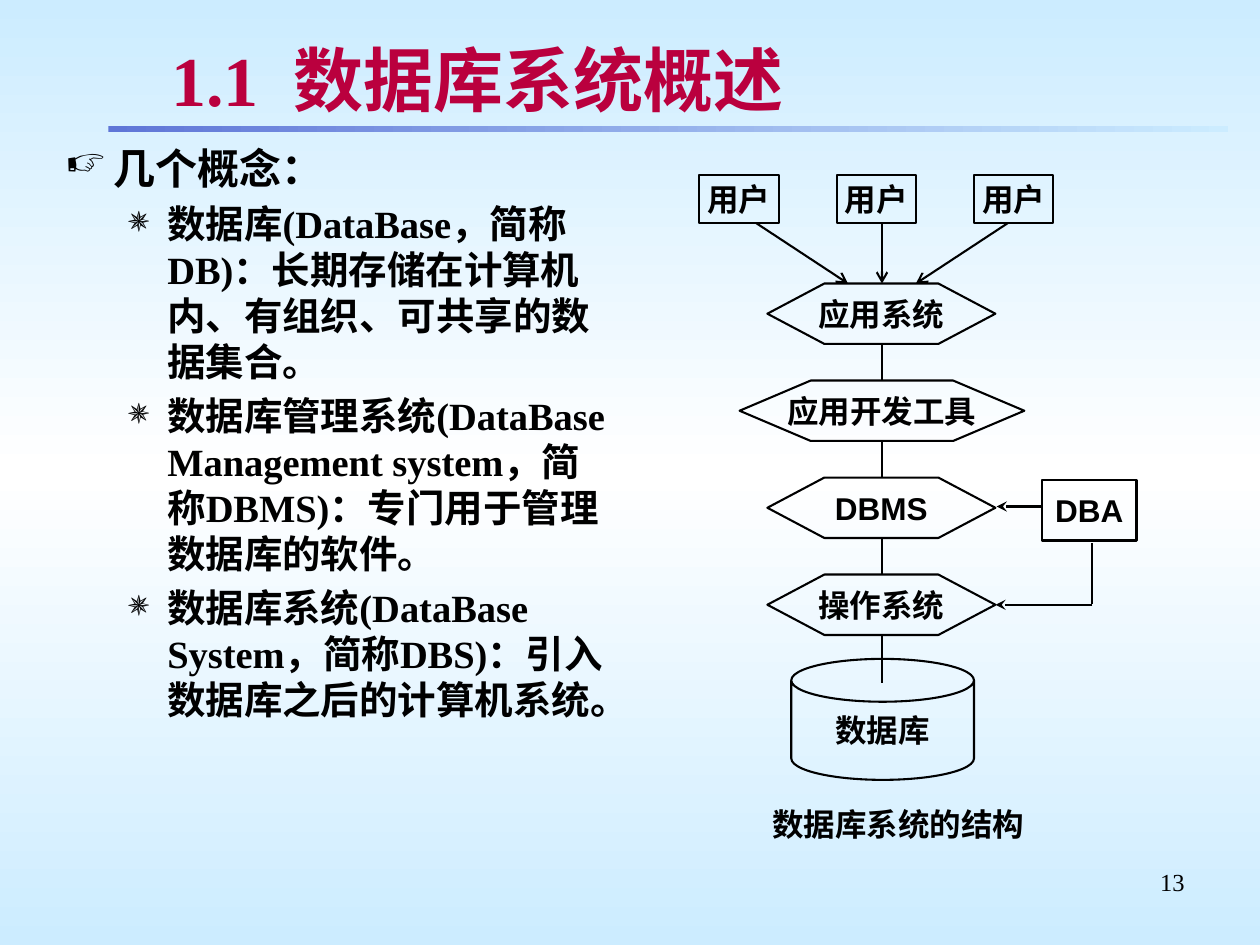
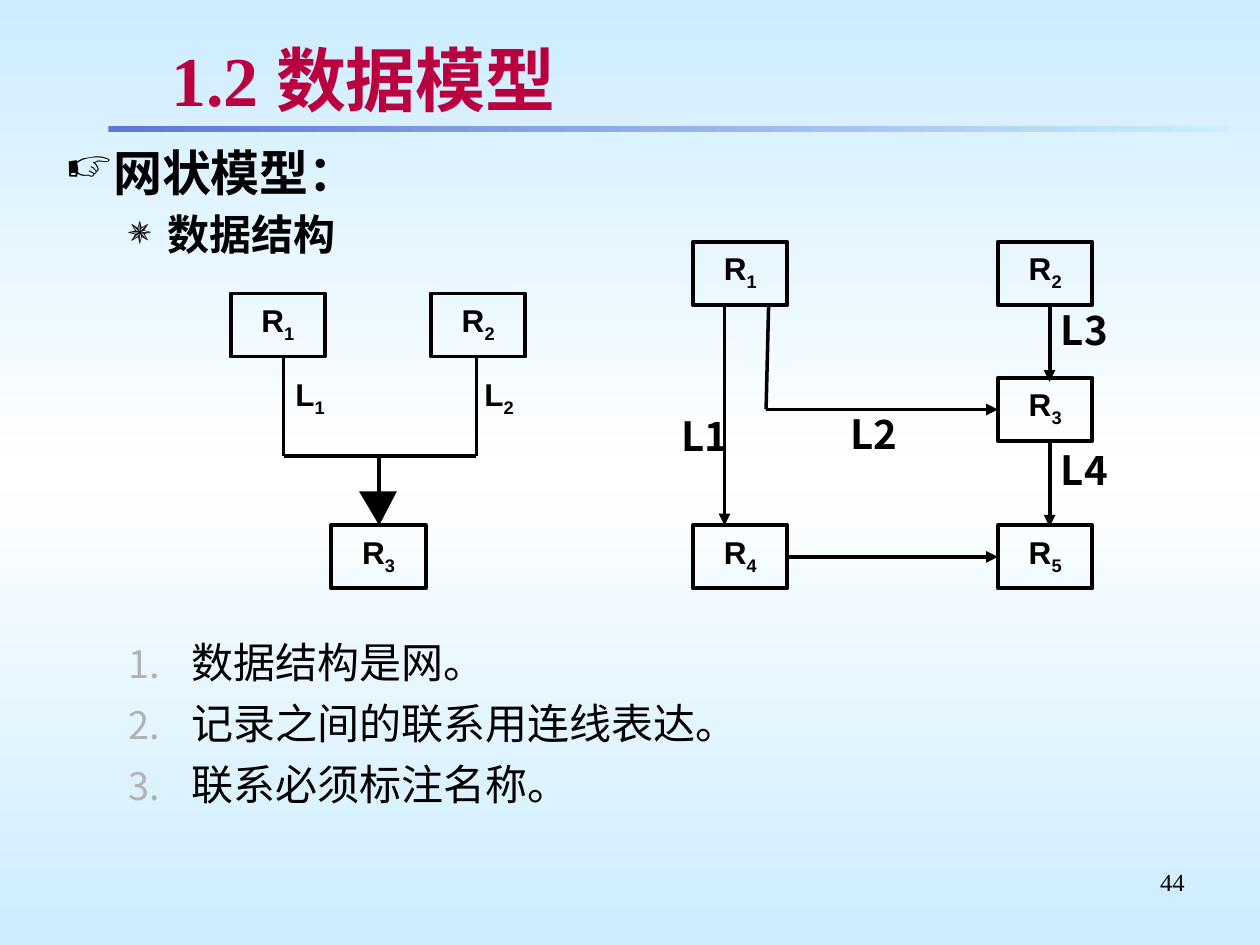
from copy import deepcopy
from dataclasses import dataclass
from typing import Any

from lxml import etree
from pptx import Presentation
from pptx.dml.color import RGBColor
from pptx.enum import shapes as sh, text as tx
from pptx.oxml import ns
from pptx.util import Inches, Pt

COLORS = {
    "ink": "000000",
    "title": "BA003E",
    "title_shadow": "C0C0C0",
    "sky": "CCECFF",
    "white": "FFFFFF",
    "band": "5F76D7",
    "number": "B2B2B2",
}
SERIF, SANS, CJK = "Times New Roman", "Arial", "Noto Sans CJK SC"
LEFT, CENTER, RIGHT = tx.PP_ALIGN.LEFT, tx.PP_ALIGN.CENTER, tx.PP_ALIGN.RIGHT
LINE_HEIGHT = 1.2
THIN, MEDIUM, THICK = 1.19, 2, 2.25


def rgb(name):
    return RGBColor.from_string(COLORS[name])


def add_child(parent, tag, **attributes):
    child = etree.SubElement(parent, ns.qn(tag))
    for key, value in attributes.items():
        child.set(key, str(value))
    return child


def paint_gradient(fill, owner, names, angle):
    fill.gradient()
    fill.gradient_angle = angle
    stops = owner.find(".//" + ns.qn("a:gsLst"))
    while len(stops) < len(names):
        stops.append(deepcopy(stops[0]))
    for i, (stop, name) in enumerate(zip(fill.gradient_stops, names)):
        stop.color.rgb = rgb(name)
        stop.position = i / (len(names) - 1)


def style_run(run, size, face, color="ink", bold=True):
    run.font.size = Pt(size)
    run.font.name = face
    run.font.bold = bold
    run.font.color.rgb = rgb(color)
    east_asian = etree.Element(ns.qn("a:ea"), typeface=CJK)
    run.font._element.find(ns.qn("a:latin")).addnext(east_asian)


def style_paragraph(paragraph, size, face, align=LEFT, **look):
    paragraph.alignment = align
    paragraph.line_spacing = Pt(round(size * LINE_HEIGHT, 1))
    for run in paragraph.runs:
        style_run(run, size, face, **look)


def set_bullet(paragraph, margin, hang, color, percent, char=None):
    props = paragraph._p.get_or_add_pPr()
    props.set("marL", str(Inches(margin)))
    props.set("indent", str(-Inches(hang)))
    add_child(add_child(props, "a:buClr"), "a:srgbClr", val=COLORS[color])
    add_child(props, "a:buSzPct", val=percent * 1000)
    if char:
        add_child(props, "a:buChar", char=char)
    else:
        add_child(props, "a:buFont", typeface=CJK)
        add_child(props, "a:buAutoNum", type="arabicPeriod")


def set_subscript(paragraph, digit):
    run = paragraph.add_run()
    run.text = digit
    run.font._element.set("baseline", "-25000")


@dataclass
class Region:
    slide: Any
    left: float
    top: float

    def place(self, x, y):
        return Inches(round(self.left + x, 2)), Inches(round(self.top + y, 2))

    def text_box(self, x, y, width, height, wrap=True, inset=None):
        holder = self.slide.shapes.add_textbox(*self.place(x, y), Inches(width), Inches(height))
        frame = holder.text_frame
        frame.word_wrap = wrap
        if inset is not None:
            frame.margin_left = frame.margin_right = Inches(inset)
            frame.margin_top = frame.margin_bottom = Inches(inset)
        return frame

    def label(self, words, x, y, width, height, size, face, subscript="",
              wrap=True, inset=None, anchor=tx.MSO_ANCHOR.TOP, **look):
        frame = self.text_box(x, y, width, height, wrap, inset)
        frame.vertical_anchor = anchor
        frame.text = words
        if subscript:
            set_subscript(frame.paragraphs[0], subscript)
        style_paragraph(frame.paragraphs[0], size, face, **look)
        return frame

    def node(self, words, x, y, width, height, weight, subscript="",
             kind=sh.MSO_SHAPE.RECTANGLE, adjust=None):
        node = self.slide.shapes.add_shape(kind, *self.place(x, y), Inches(width), Inches(height))
        node.shadow.inherit = False
        node.fill.background()
        node.line.color.rgb = rgb("ink")
        node.line.width = Pt(weight)
        if adjust is not None:
            node.adjustments[0] = adjust
        frame = node.text_frame
        frame.word_wrap = False
        frame.vertical_anchor = tx.MSO_ANCHOR.MIDDLE
        frame.text = words
        if subscript:
            set_subscript(frame.paragraphs[0], subscript)
        style_paragraph(frame.paragraphs[0], 18, SANS, CENTER)
        return node

    def link(self, start, end, weight, arrow=None):
        link = self.slide.shapes.add_connector(
            sh.MSO_CONNECTOR.STRAIGHT, *self.place(*start), *self.place(*end))
        link.line.color.rgb = rgb("ink")
        link.line.width = Pt(weight)
        add_child(link._element.spPr, "a:effectLst")
        if arrow:
            add_child(link.line._get_or_add_ln(), "a:tailEnd", type=arrow)
        return link


def add_title(page, words):
    frame = page.label(words, 1.26, 0.29, 8.24, 0.67, 40, SERIF,
                       color="title", anchor=tx.MSO_ANCHOR.MIDDLE)
    frame.margin_top = frame.margin_bottom = Inches(0.04)
    effects = etree.Element(ns.qn("a:effectLst"))
    shadow = add_child(effects, "a:outerShdw", dist=25400, dir=2700000)
    add_child(shadow, "a:srgbClr", val=COLORS["title_shadow"])
    props = frame.paragraphs[0].runs[0].font._element
    props.find(ns.qn("a:solidFill")).addnext(effects)


def add_page(deck, title, number):
    slide = deck.slides.add_slide(deck.slide_layouts[6])
    paint_gradient(slide.background.fill, slide._element, ["sky", "white", "sky"], 270)
    band = slide.shapes.add_shape(
        sh.MSO_SHAPE.RECTANGLE, Inches(0.86), Inches(1), Inches(8.89), Inches(0.05))
    band.shadow.inherit = False
    band.line.fill.background()
    paint_gradient(band.fill, band._element, ["band", "sky"], 0)
    page = Region(slide, 0, 0)
    page.label(str(number), 7.17, 6.83, 2.33, 0.52, 14, SERIF, align=RIGHT, bold=False)
    add_title(page, title)
    return slide


def add_outline(region, width, height, heading, heading_size, points, point_size):
    frame = region.text_box(0, 0, width, height)
    frame.text = "\n".join([heading, *points])
    for i, paragraph in enumerate(frame.paragraphs):
        if i:
            set_bullet(paragraph, 0.81, 0.31, "ink", 95, "✵")
            paragraph.space_before = Pt(round(point_size * 0.187, 1))
        else:
            set_bullet(paragraph, 0.38, 0.38, "ink", 95, "☞")
        style_paragraph(paragraph, point_size if i else heading_size, SERIF)


def add_numbered_list(region, width, height, items):
    frame = region.text_box(0, 0, width, height)
    frame.text = "\n".join(items)
    for i, paragraph in enumerate(frame.paragraphs):
        set_bullet(paragraph, 1, 0.5, "number", 90)
        if i:
            paragraph.space_before = Pt(6)
        style_paragraph(paragraph, 24, SANS, bold=False)


def add_system_structure(region):
    axis, layer_top, layer_step, layer_height = 1.5, 0.86, 0.77, 0.48
    for i in range(3):
        region.node("用户", 0.05 + 1.09 * i, 0, 0.63, 0.38, THIN)
    layers = [("应用系统", 1.81), ("应用开发工具", 2.26), ("DBMS", 1.81), ("操作系统", 1.81)]
    for i, (layer, width) in enumerate(layers):
        region.node(layer, axis - width / 2, layer_top + layer_step * i, width, layer_height,
                    THIN, kind=sh.MSO_SHAPE.HEXAGON, adjust=width / 4 / layer_height)
    region.node("数据库", 0.78, 3.84, 1.45, 0.96, THIN, kind=sh.MSO_SHAPE.CAN, adjust=0.354)
    region.node("DBA", 2.77, 2.42, 0.75, 0.48, THIN)

    for i in range(len(layers)):
        bottom = layer_top + layer_step * i + layer_height
        gap = 0.29 if i < len(layers) - 1 else 0.38
        region.link((axis, bottom), (axis, bottom + gap), THIN)
    region.link((2.77, 2.63), (2.41, 2.63), THIN, "stealth")
    region.link((3.17, 2.92), (3.17, 3.4), THIN)
    region.link((3.17, 3.41), (2.4, 3.41), THIN, "stealth")
    for side in (1, 0, -1):
        region.link((axis + side, 0.38), (axis + 0.27 * side, layer_top), THIN, "arrow")
    caption = region.label("数据库系统的结构", 0.53, 4.95, 2.2, 0.4, 18, SANS, wrap=False)
    caption.auto_size = tx.MSO_AUTO_SIZE.SHAPE_TO_FIT_TEXT


def add_record(region, digit, x, y):
    return region.node("R", x, y, 0.75, 0.5, THICK, subscript=digit)


def add_joined_network(region):
    join = 1.29
    for x in (0.42, 1.95):
        region.link((x, 0.5), (x, join), MEDIUM)
    region.link((0.42, join), (1.95, join), MEDIUM)
    region.link((1.18, join), (1.18, 1.62), MEDIUM)
    outline = region.slide.shapes.build_freeform(*region.place(1.02, 1.57))
    outline.add_line_segments([region.place(1.18, 1.84), region.place(1.32, 1.57)])
    arrowhead = outline.convert_to_shape()
    arrowhead.shadow.inherit = False
    arrowhead.fill.solid()
    arrowhead.fill.fore_color.rgb = rgb("ink")
    arrowhead.line.fill.background()
    for digit, x, y in (("1", 0, 0), ("2", 1.59, 0), ("3", 0.8, 1.84)):
        add_record(region, digit, x, y)
    for digit, x in (("1", 0.34), ("2", 1.84)):
        region.label("L", x, 0.59, 0.58, 0.5, 18, SANS, subscript=digit, wrap=False,
                     anchor=tx.MSO_ANCHOR.MIDDLE, align=CENTER)


def add_linked_network(region):
    places = {"1": (0, 0), "2": (2.42, 0), "3": (2.42, 1.08), "4": (0, 2.25), "5": (2.42, 2.25)}
    records = {digit: add_record(region, digit, *place) for digit, place in places.items()}
    region.link((2.83, 0.5), (2.83, 1.11), THICK, "triangle")
    region.link((2.83, 1.59), (2.83, 2.26), THICK, "triangle")
    region.link((0.25, 0.5), (0.25, 2.25), THICK, "triangle")
    region.link((0.6, 0.51), (0.58, 1.33), MEDIUM)
    into_r3 = region.link((0.58, 1.33), (2.42, 1.33), THICK, "triangle")
    into_r3.end_connect(records["3"], 1)
    into_r5 = region.link((0.75, 2.5), (2.42, 2.5), THICK, "triangle")
    into_r5.begin_connect(records["4"], 3)
    into_r5.end_connect(records["5"], 1)
    for name, x, y in (("L3", 2.92, 0.5), ("L1", -0.09, 1.34), ("L4", 2.92, 1.61), ("L2", 1.25, 1.33)):
        region.label(name, x, y, 0.51, 0.38, 23, CJK, inset=0)


def build_overview(deck):
    slide = add_page(deck, "1.1  数据库系统概述", 13)
    concepts = [
        "数据库(DataBase，简称DB)：长期存储在计算机内、有组织、可共享的数据集合。",
        "数据库管理系统(DataBase Management system，简称DBMS)：专门用于管理数据库的软件。",
        "数据库系统(DataBase System，简称DBS)：引入数据库之后的计算机系统。",
    ]
    add_outline(Region(slide, 0.42, 1.08), 4.54, 6, "几个概念：", 24, concepts, 22)
    add_system_structure(Region(slide, 5.5, 1.39))


def build_network_model(deck):
    slide = add_page(deck, "1.2 数据模型", 44)
    add_outline(Region(slide, 0.42, 1.08), 4.63, 1.2, "网状模型：", 28, ["数据结构"], 24)
    add_joined_network(Region(slide, 1.83, 2.33))
    add_numbered_list(Region(slide, 0.42, 5), 9, 1.5,
                      ["数据结构是网。", "记录之间的联系用连线表达。", "联系必须标注名称。"])
    add_linked_network(Region(slide, 5.5, 1.92))


def main():
    deck = Presentation()
    deck.slide_width, deck.slide_height = Inches(10), Inches(7.5)
    build_overview(deck)
    build_network_model(deck)
    deck.save("out.pptx")


if __name__ == "__main__":
    main()
